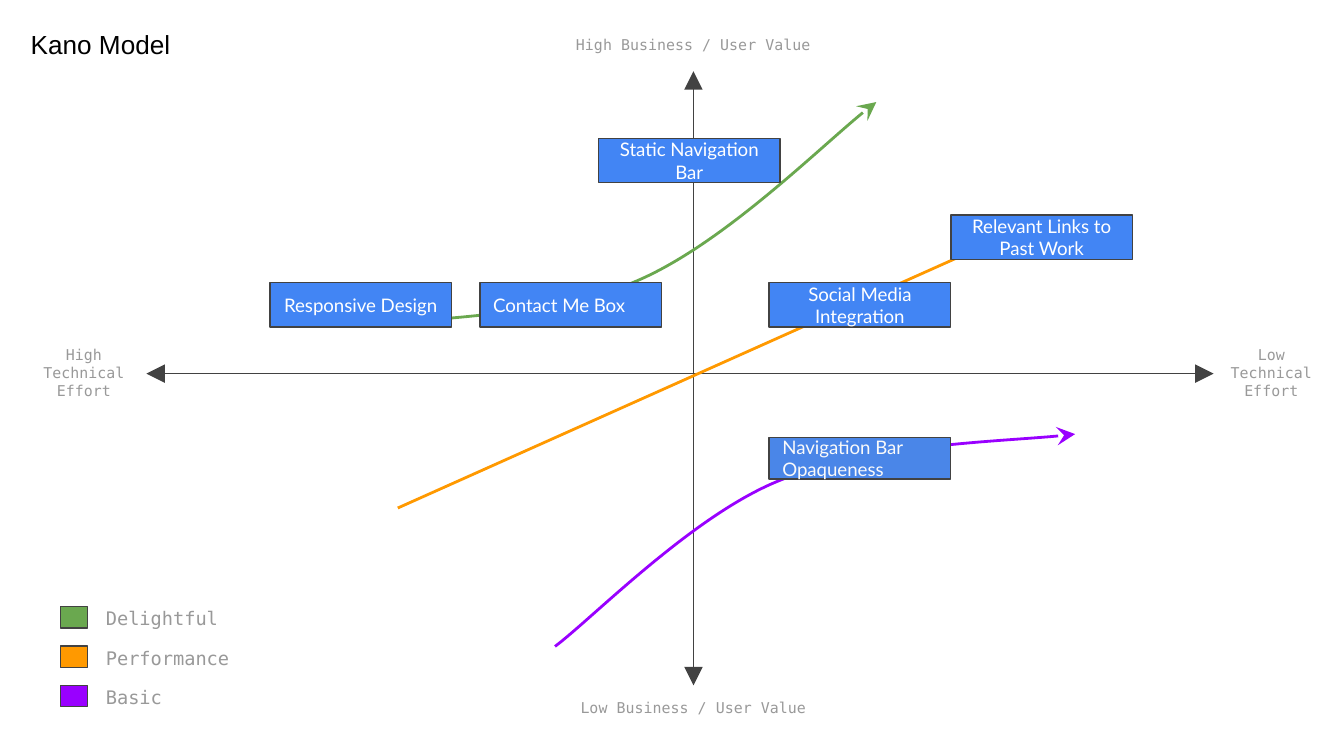
from dataclasses import dataclass
from typing import Optional

from pptx import Presentation
from pptx.dml.color import RGBColor as RGB
from pptx.enum.shapes import MSO_CONNECTOR as Link, MSO_SHAPE as Form
from pptx.enum.text import MSO_ANCHOR as Anchor, PP_ALIGN as Align
from pptx.oxml.ns import qn
from pptx.oxml.xmlchemy import OxmlElement as Node
from pptx.util import Inches, Pt

WHITE = RGB(0xFF, 0xFF, 0xFF)
PALE = RGB(0xFA, 0xFA, 0xFA)
BLACK = RGB(0x00, 0x00, 0x00)
GREY = RGB(0x99, 0x99, 0x99)
DARK = RGB(0x42, 0x42, 0x42)
BLUE = RGB(0x42, 0x85, 0xF4)
SKY = RGB(0x4A, 0x86, 0xE8)
GREEN = RGB(0x6A, 0xA8, 0x4F)
ORANGE = RGB(0xFF, 0x99, 0x00)
PURPLE = RGB(0x99, 0x00, 0xFF)
MONO, LATO, ARIAL = "DejaVu Sans Mono", "Lato", "Arial"

# A 16:9 slide as a grid of 100 columns with square cells
WIDTH = Inches(10)
HEIGHT = WIDTH * 9 // 16
CELL = WIDTH / 100

Spot = tuple[float, float]


def grid(*cells: float) -> list[int]:
    return [round(n * CELL) for n in cells]


@dataclass
class Label:
    text: str
    box: tuple[float, float, float, float]  # column, row, columns, rows
    size: float = 8
    font: str = MONO
    color: RGB = GREY
    align: Align = Align.CENTER
    anchor: Anchor = Anchor.TOP


@dataclass
class Card:
    text: str
    col: float
    row: float
    align: Align = Align.CENTER
    rows: float = 3.3
    fill: RGB = BLUE
    ink: RGB = WHITE


@dataclass
class Curve:
    color: RGB
    start: Spot
    bends: list[Spot]  # three points for each Bezier part


CURVES = [
    Curve(GREEN, (27, 24.3), [(30.4, 23.7), (41, 23.7), (47.4, 20.9),
                              (53.7, 18.2), (62.2, 9.8), (65.2, 7.6)]),
    Curve(PURPLE, (41.3, 48.1), [(44.1, 46), (51.5, 38.4), (57.9, 35.8),
                                 (64.4, 33.1), (76.3, 32.8), (80, 32.3)]),
]
KEYS = [("Delightful", GREEN), ("Performance", ORANGE), ("Basic", PURPLE)]
KEY_TOP, KEY_STEP = 45.13, 2.93
LABELS = [
    Label("High Business / User Value", (41.8, 2, 19.6, 3.6)),
    Label("Low Business / User Value", (41.8, 51.3, 19.6, 3.6)),
    Label("High Technical Effort", (1.1, 25.9, 10.3, 3.6), anchor=Anchor.MIDDLE),
    Label("Low Technical Effort", (90.3, 25.9, 8.6, 3.6), anchor=Anchor.MIDDLE),
    Label("Kano Model", (1.3, 1.1, 15.6, 3.1), 14, ARIAL, BLACK, Align.LEFT),
]
CARDS = [
    Card("Relevant Links to Past Work", 70.75, 16),
    Card("Contact Me Box", 35.7, 21.04),
    Card("Social Media Integration", 57.23, 21.04),
    Card("Responsive Design", 20.08, 21.04),
    Card("Static Navigation Bar", 44.53, 10.3),
    Card("Navigation Bar Opaqueness", 57.23, 32.55, Align.LEFT, 3.1, SKY, PALE),
]
CARDS[1].align = Align.LEFT


def stroke(item, color: RGB, width: float, head: Optional[str] = None,
           tail: Optional[str] = None) -> None:
    item.line.color.rgb = color
    item.line.width = Pt(width)
    for tag, kind in (("a:headEnd", head), ("a:tailEnd", tail)):
        if kind:
            end = Node(tag)
            for key, val in (("type", kind), ("w", "lg"), ("len", "lg")):
                end.set(key, val)
            item.line._get_or_add_ln().append(end)


def write(item, label: Label) -> None:
    frame = item.text_frame
    frame.word_wrap = True
    frame.vertical_anchor = label.anchor
    frame.margin_left = frame.margin_right = Inches(0.1)
    frame.margin_top = frame.margin_bottom = Inches(0.1)
    para = frame.paragraphs[0]
    para.alignment = label.align
    run = para.add_run()
    run.text = label.text
    run.font.size = Pt(label.size)
    run.font.name = label.font
    run.font.color.rgb = label.color


def add_text(shapes, label: Label) -> None:
    write(shapes.add_textbox(*grid(*label.box)), label)


def add_rect(shapes, box: tuple, fill: RGB):
    rect = shapes.add_shape(Form.RECTANGLE, *grid(*box))
    rect.shadow.inherit = False
    rect.fill.solid()
    rect.fill.fore_color.rgb = fill
    stroke(rect, DARK, 0.75)
    return rect


def add_line(shapes, start: Spot, end: Spot, color: RGB, width: float,
             head: Optional[str] = None) -> None:
    line = shapes.add_connector(Link.STRAIGHT, *grid(*start, *end))
    stroke(line, color, width, head, "triangle")
    line._element.spPr.append(Node("a:effectLst"))


def add_curve(shapes, curve: Curve) -> None:
    pen = shapes.build_freeform(*grid(*curve.start))
    pen.add_line_segments([grid(*spot) for spot in curve.bends], close=False)
    shape = pen.convert_to_shape()
    shape.shadow.inherit = False
    shape.fill.background()
    stroke(shape, curve.color, 1.5, tail="stealth")
    # Merge each three line steps into one Bezier part
    steps = list(shape._element.iter(qn("a:lnTo")))
    for n in range(0, len(steps), 3):
        bend = Node("a:cubicBezTo")
        steps[n].addprevious(bend)
        for step in steps[n:n + 3]:
            bend.append(step[0])
            step.getparent().remove(step)


def main() -> None:
    deck = Presentation()
    deck.slide_width, deck.slide_height = WIDTH, HEIGHT
    shapes = deck.slides.add_slide(deck.slide_layouts[6]).shapes

    # Axes
    add_line(shapes, (51.6, 5.3), (51.6, 51), DARK, 0.75, "triangle")
    add_line(shapes, (90.3, 27.8), (10.9, 27.8), DARK, 0.75, "triangle")

    # Trends
    for curve in CURVES:
        add_curve(shapes, curve)
    add_line(shapes, (29.6, 37.8), (76.1, 17), ORANGE, 1.5)

    # Legend
    for n, (name, color) in enumerate(KEYS):
        top = KEY_TOP + n * KEY_STEP
        add_rect(shapes, (4.5, top, 2, 1.6), color)
        add_text(shapes, Label(name, (6.9, top - 0.8, 19.6, 3.6), 10,
                               align=Align.LEFT))

    # Title and axis names
    for label in LABELS:
        add_text(shapes, label)

    # Features
    for card in CARDS:
        box = (card.col, card.row, 13.5, card.rows)
        write(add_rect(shapes, box, card.fill),
              Label(card.text, box, 10, LATO, card.ink, card.align,
                    Anchor.MIDDLE))

    deck.save("out.pptx")


if __name__ == "__main__":
    main()
